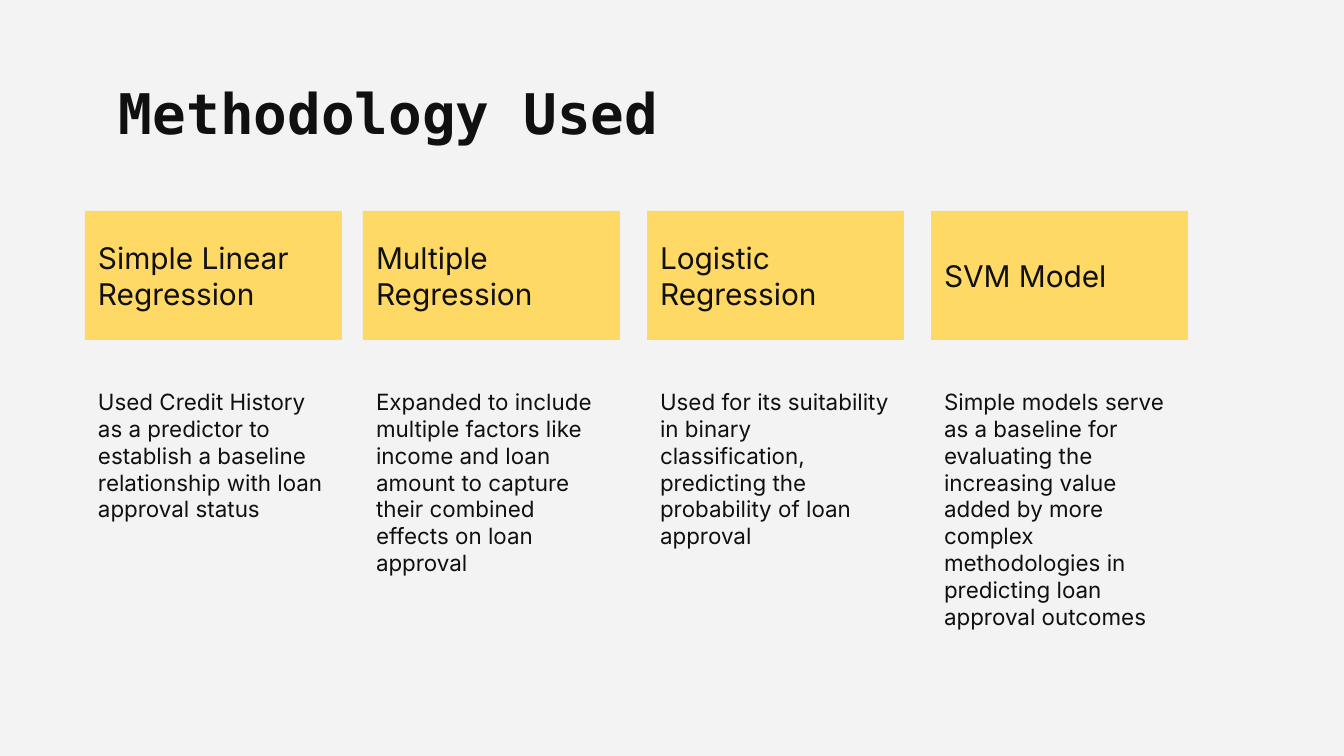
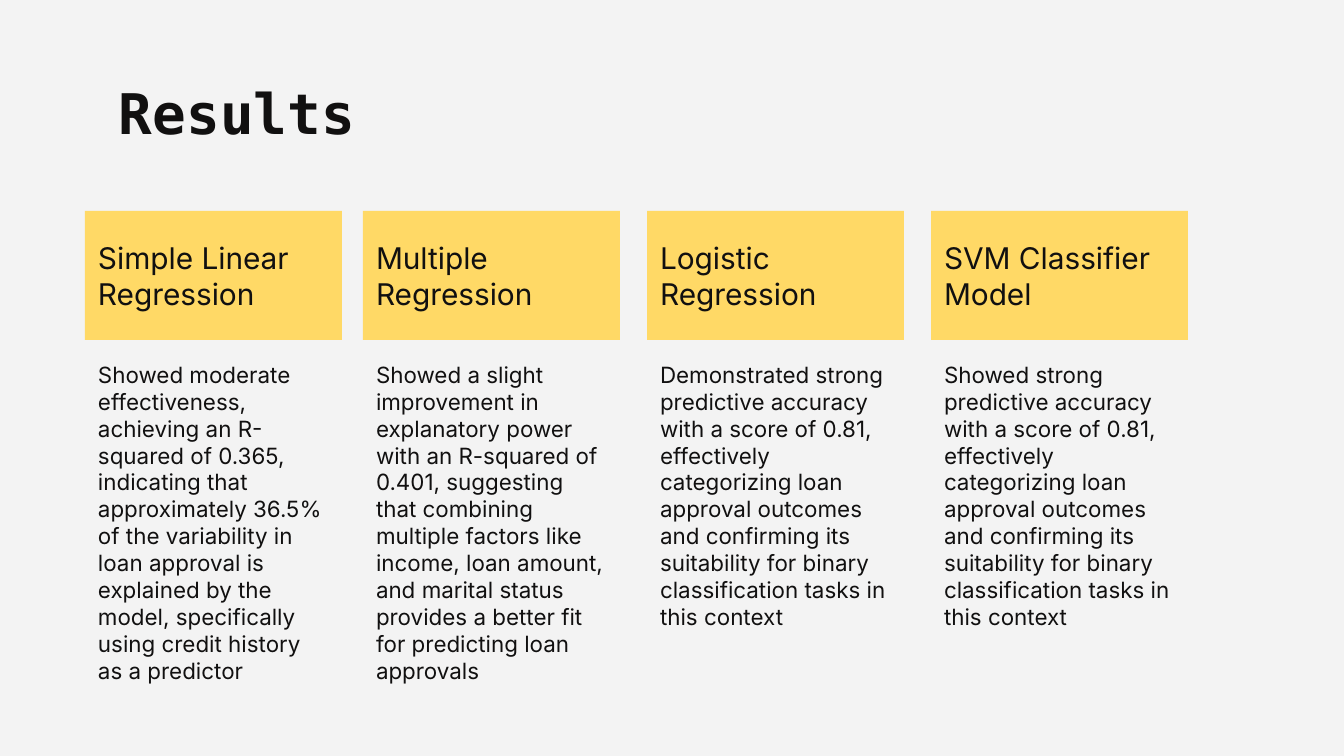
from pptx import Presentation
from pptx.dml.color import RGBColor
from pptx.enum.shapes import MSO_SHAPE
from pptx.enum.text import MSO_ANCHOR, PP_ALIGN
from pptx.util import Pt

EMU_PER_PX = 914400 / 134.4
COLORS = {"background": "F3F3F3", "heading": "FFD966", "text": "111010"}
TITLE_FONT, BODY_FONT = "DejaVu Sans Mono", "Inter"
INSET = 13
BODY_LINE = 27

TITLE_BOX = (106, 66, 1133, 85)
COLUMN_LEFTS = (85, 363, 647, 931)
COLUMN_TOP, COLUMN_WIDTH = 211, 257
HEADING_HEIGHT = 129
BODY_OFFSET, BODY_HEIGHT = 137, 328

METHODS = [
    ("Simple Linear Regression",
     "Used Credit History as a predictor to establish a baseline relationship "
     "with loan approval status"),
    ("Multiple Regression",
     "Expanded to include multiple factors like income and loan amount to "
     "capture their combined effects on loan approval"),
    ("Logistic Regression",
     "Used for its suitability in binary classification, predicting the "
     "probability of loan approval"),
    ("SVM Model",
     "Simple models serve as a baseline for evaluating the increasing value "
     "added by more complex methodologies in predicting loan approval outcomes"),
]

CLASSIFIER_RESULT = (
    "Showed strong predictive accuracy with a score of 0.81, effectively "
    "categorizing loan approval outcomes and confirming its suitability for "
    "binary classification tasks in this context")

RESULTS = [
    ("Simple Linear Regression",
     "Showed moderate effectiveness, achieving an R-squared of 0.365, "
     "indicating that approximately 36.5% of the variability in loan approval "
     "is explained by the model, specifically using credit history as a predictor"),
    ("Multiple Regression",
     "Showed a slight improvement in explanatory power with an R-squared of "
     "0.401, suggesting that combining multiple factors like income, loan "
     "amount, and marital status provides a better fit for predicting loan "
     "approvals"),
    ("Logistic Regression",
     CLASSIFIER_RESULT.replace("Showed", "Demonstrated")),
    ("SVM Classifier Model", CLASSIFIER_RESULT),
]


def px(n):
    return round(n * EMU_PER_PX)


def rgb(name):
    return RGBColor.from_string(COLORS[name])


def write(sp, text, size, font=BODY_FONT, bold=False,
          anchor=MSO_ANCHOR.TOP, gap_above=0):
    """Fill a shape with one left-aligned run, gap_above px below its inset."""
    tf = sp.text_frame
    tf.word_wrap = True
    tf.vertical_anchor = anchor
    tf.margin_left = tf.margin_right = tf.margin_bottom = px(INSET)
    tf.margin_top = px(INSET + gap_above)
    p = tf.paragraphs[0]
    p.alignment = PP_ALIGN.LEFT
    r = p.add_run()
    r.text = text
    r.font.name = font
    r.font.size = Pt(size)
    r.font.bold = bold
    r.font.color.rgb = rgb("text")


def add_title(s, box, text):
    sp = s.shapes.add_textbox(*map(px, box))
    write(sp, text, 30, TITLE_FONT, bold=True)


def add_model_column(s, box, heading, body, gap_above):
    left, top, width, body_height = box
    sp = s.shapes.add_shape(MSO_SHAPE.RECTANGLE, px(left), px(top),
                            px(width), px(HEADING_HEIGHT))
    sp.shadow.inherit = False
    sp.fill.solid()
    sp.fill.fore_color.rgb = rgb("heading")
    sp.line.fill.background()
    write(sp, heading, 16, anchor=MSO_ANCHOR.MIDDLE)

    sp = s.shapes.add_textbox(px(left), px(top + BODY_OFFSET),
                              px(width), px(body_height))
    write(sp, body, 12, gap_above=gap_above)


def add_models_slide(prs, title, models, gap_above=0):
    s = prs.slides.add_slide(prs.slide_layouts[6])
    s.background.fill.solid()
    s.background.fill.fore_color.rgb = rgb("background")
    add_title(s, TITLE_BOX, title)
    for left, (heading, body) in zip(COLUMN_LEFTS, models):
        box = (left, COLUMN_TOP, COLUMN_WIDTH, BODY_HEIGHT)
        add_model_column(s, box, heading, body, gap_above)


def main():
    prs = Presentation()
    prs.slide_width, prs.slide_height = px(1344), px(756)
    add_models_slide(prs, "Methodology Used", METHODS, gap_above=BODY_LINE)
    add_models_slide(prs, "Results", RESULTS)
    prs.save("out.pptx")


if __name__ == "__main__":
    main()
